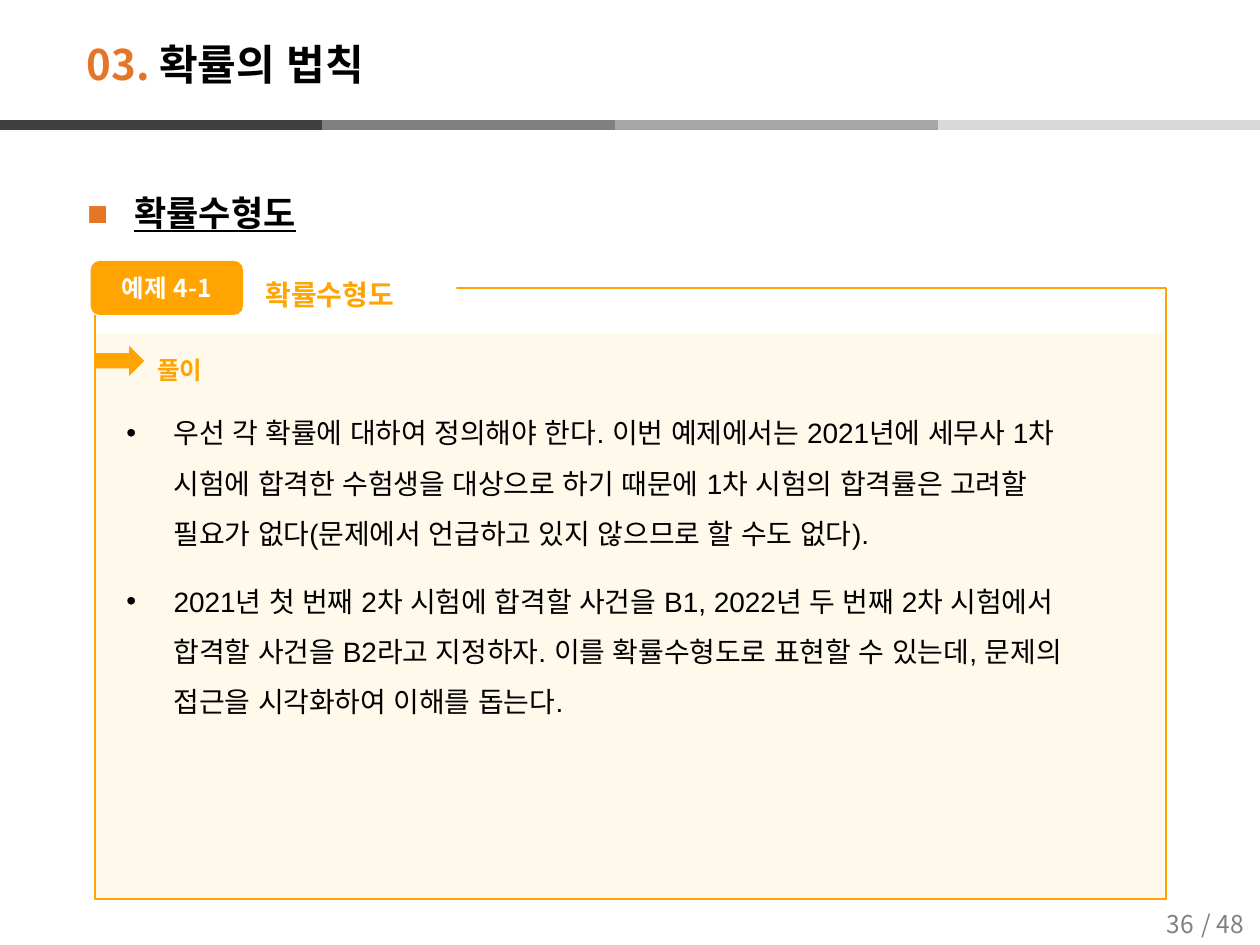
from dataclasses import dataclass

from lxml import etree
from pptx import Presentation
from pptx.dml.color import RGBColor
from pptx.enum.shapes import MSO_CONNECTOR, MSO_SHAPE
from pptx.enum.text import MSO_ANCHOR, MSO_AUTO_SIZE, PP_ALIGN
from pptx.oxml.ns import qn
from pptx.util import Cm, Pt


@dataclass(frozen=True)
class Theme:
    accent: str = "E67627"
    amber: str = "FFA401"
    cream: str = "FFF9EB"
    black: str = "000000"
    white: str = "FFFFFF"
    grey: str = "808080"
    strip: tuple = ("808080", "A6A6A6", "D9D9D9", "404040")
    text: str = "Arial"
    display: str = "Noto Sans CJK KR"
    title: int = 24
    heading: int = 20
    body: int = 16
    small: int = 14


T = Theme()


def write(shape, paragraphs, size, font=T.text, bold=False, underline=None,
          align=PP_ALIGN.LEFT, anchor=MSO_ANCHOR.TOP, line=1.0, gap=0, bullet=None):
    """Fill a shape with paragraphs, each a list of (text, colour) runs."""
    frame = shape.text_frame
    frame.word_wrap = True
    frame.auto_size = MSO_AUTO_SIZE.NONE
    frame.vertical_anchor = anchor
    for i, runs in enumerate(paragraphs):
        p = frame.add_paragraph() if i else frame.paragraphs[0]
        p.alignment, p.line_spacing = align, line
        p.space_before = p.space_after = Pt(gap)
        if bullet:
            char, colour = bullet
            pPr = p._p.get_or_add_pPr()
            pPr.set("marL", str(Cm(0.95)))
            pPr.set("indent", str(-Cm(0.95)))
            bu_colour = etree.SubElement(pPr, qn("a:buClr"))
            etree.SubElement(bu_colour, qn("a:srgbClr"), val=colour)
            etree.SubElement(pPr, qn("a:buFont"), typeface=T.text)
            etree.SubElement(pPr, qn("a:buChar"), char=char)
        for text, colour in runs:
            run = p.add_run()
            run.text = text
            f = run.font
            f.size, f.bold, f.underline, f.name = Pt(size), bold, underline, font
            f.color.rgb = RGBColor.from_string(colour)
            latin = run._r.get_or_add_rPr().find(qn("a:latin"))
            latin.addnext(latin.makeelement(qn("a:ea"), {"typeface": T.text}))


def add_block(kind, left, top, width, height, fill=None, line=None):
    block = slide.shapes.add_shape(kind, Cm(left), Cm(top), Cm(width), Cm(height))
    block.shadow.inherit = False
    if fill:
        block.fill.solid()
        block.fill.fore_color.rgb = RGBColor.from_string(fill)
    else:
        block.fill.background()
    if line:
        block.line.color.rgb = RGBColor.from_string(line)
        block.line.width = Pt(1)
    else:
        block.line.fill.background()
    return block


prs = Presentation()
prs.slide_width, prs.slide_height = Cm(25.4), Cm(19.05)
slide = prs.slides.add_slide(prs.slide_layouts[1])
title, heading = slide.placeholders

# Four-tone strip, laid from the right edge; the dark part covers the left end
part = 6.5
for colour, start in zip(T.strip, (25.4 - 3 * part, 25.4 - 2 * part, 25.4 - part, 0)):
    strip = slide.shapes.add_connector(
        MSO_CONNECTOR.STRAIGHT, Cm(start), Cm(2.52), Cm(start + part), Cm(2.52))
    strip.line.color.rgb = RGBColor.from_string(colour)
    strip.line.width = Pt(6)
    etree.SubElement(strip._element.spPr, qn("a:effectLst"))

# Page number and page count
for text, left in (("/ 48", 23.75), ("36", 22.9)):
    box = slide.shapes.add_textbox(Cm(left), Cm(18.13), Cm(1.8), Cm(0.99))
    write(box, [[(text, T.grey)]], T.small, T.display,
          align=PP_ALIGN.CENTER, anchor=MSO_ANCHOR.MIDDLE)

# Title and section heading
title.left, title.top, title.width, title.height = Cm(1.49), Cm(0.52), Cm(19), Cm(1.52)
write(title, [[("03. ", T.accent), ("확률의 법칙", T.black)]], T.title, T.display,
      bold=True, anchor=MSO_ANCHOR.MIDDLE)
heading.left, heading.top, heading.width, heading.height = Cm(1.5), Cm(3.32), Cm(22.81), Cm(3.2)
write(heading, [[("확률수형도", T.black)]], T.heading, bold=True, underline=True,
      line=1.5, bullet=("■", T.accent))

# Example panel: cream area, frame, and a gap in the frame for its label
add_block(MSO_SHAPE.RECTANGLE, 1.91, 6.72, 21.59, 11.4, fill=T.cream)
add_block(MSO_SHAPE.RECTANGLE, 1.91, 5.81, 21.59, 12.31, line=T.amber)
add_block(MSO_SHAPE.RECTANGLE, 1.7, 5.26, 7.5, 1.09, fill=T.white)

# Panel labels
for text, size, left, top, width, height in (
        ("확률수형도", T.body, 5.11, 5.13, 17.8, 1.78),
        ("풀이", T.small, 2.92, 6.73, 3, 1.19)):
    label = slide.shapes.add_textbox(Cm(left), Cm(top), Cm(width), Cm(height))
    write(label, [[(text, T.amber)]], size, bold=True, line=1.5, gap=5)

# Example tag and solution arrow
tag = add_block(MSO_SHAPE.ROUNDED_RECTANGLE, 1.83, 5.26, 3.07, 1.09, fill=T.amber)
write(tag, [[("예제 4-1", T.white)]], T.small, T.display, bold=True,
      align=PP_ALIGN.CENTER, anchor=MSO_ANCHOR.MIDDLE)
add_block(MSO_SHAPE.RIGHT_ARROW, 1.91, 6.97, 1, 0.61, fill=T.amber)

# Solution text
solution = (
    "우선 각 확률에 대하여 정의해야 한다. 이번 예제에서는 2021년에 세무사 1차 시험에 합격한 "
    "수험생을 대상으로 하기 때문에 1차 시험의 합격률은 고려할 필요가 없다"
    "(문제에서 언급하고 있지 않으므로 할 수도 없다).",
    "2021년 첫 번째 2차 시험에 합격할 사건을 B1, 2022년 두 번째 2차 시험에서 합격할 사건을 "
    "B2라고 지정하자. 이를 확률수형도로 표현할 수 있는데, 문제의 접근을 시각화하여 이해를 돕는다.",
)
box = slide.shapes.add_textbox(Cm(2.3), Cm(7.92), Cm(20), Cm(3.2))
write(box, [[(text, T.black)] for text in solution], T.body, line=1.5, gap=5,
      bullet=("•", T.black))

prs.save("out.pptx")
